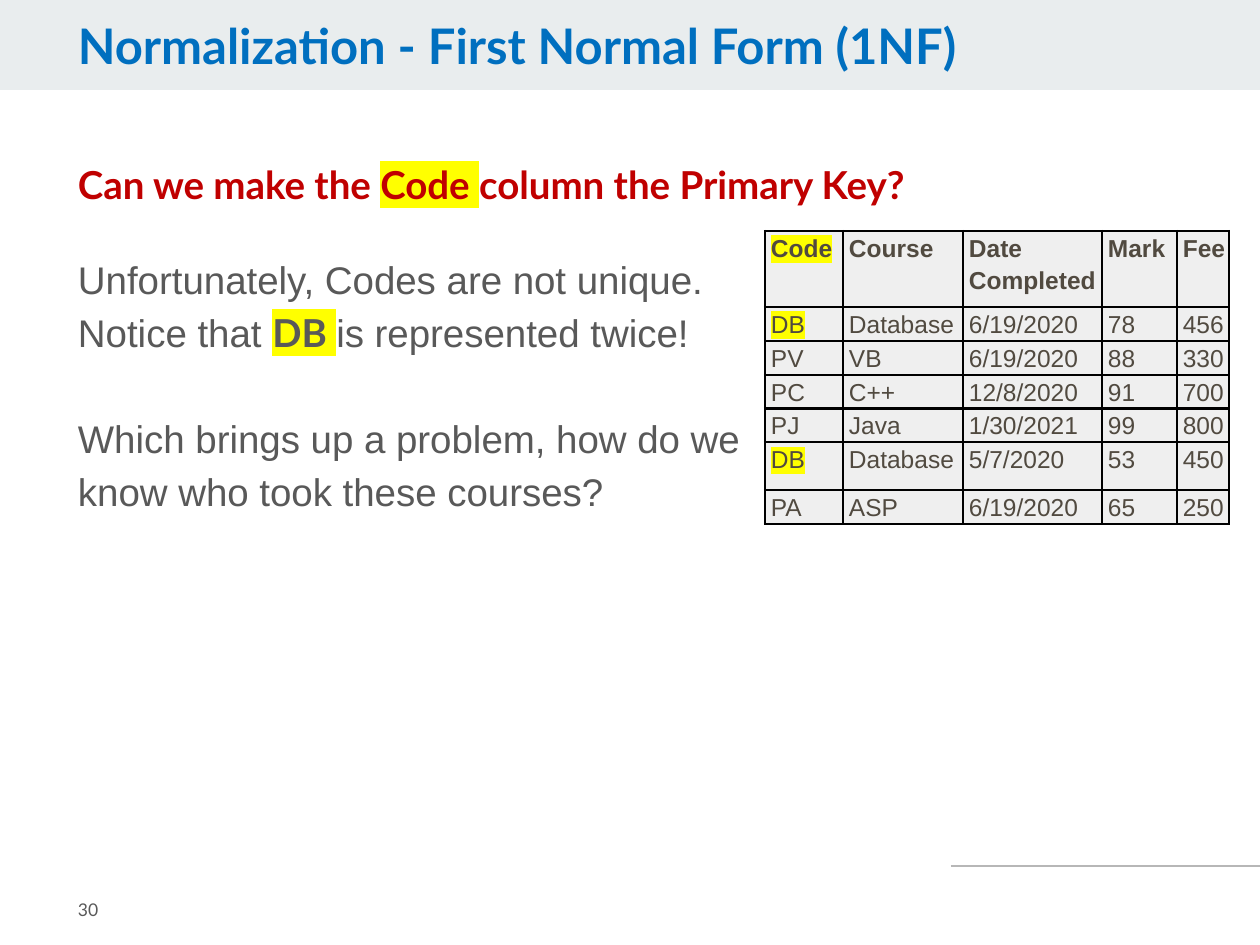
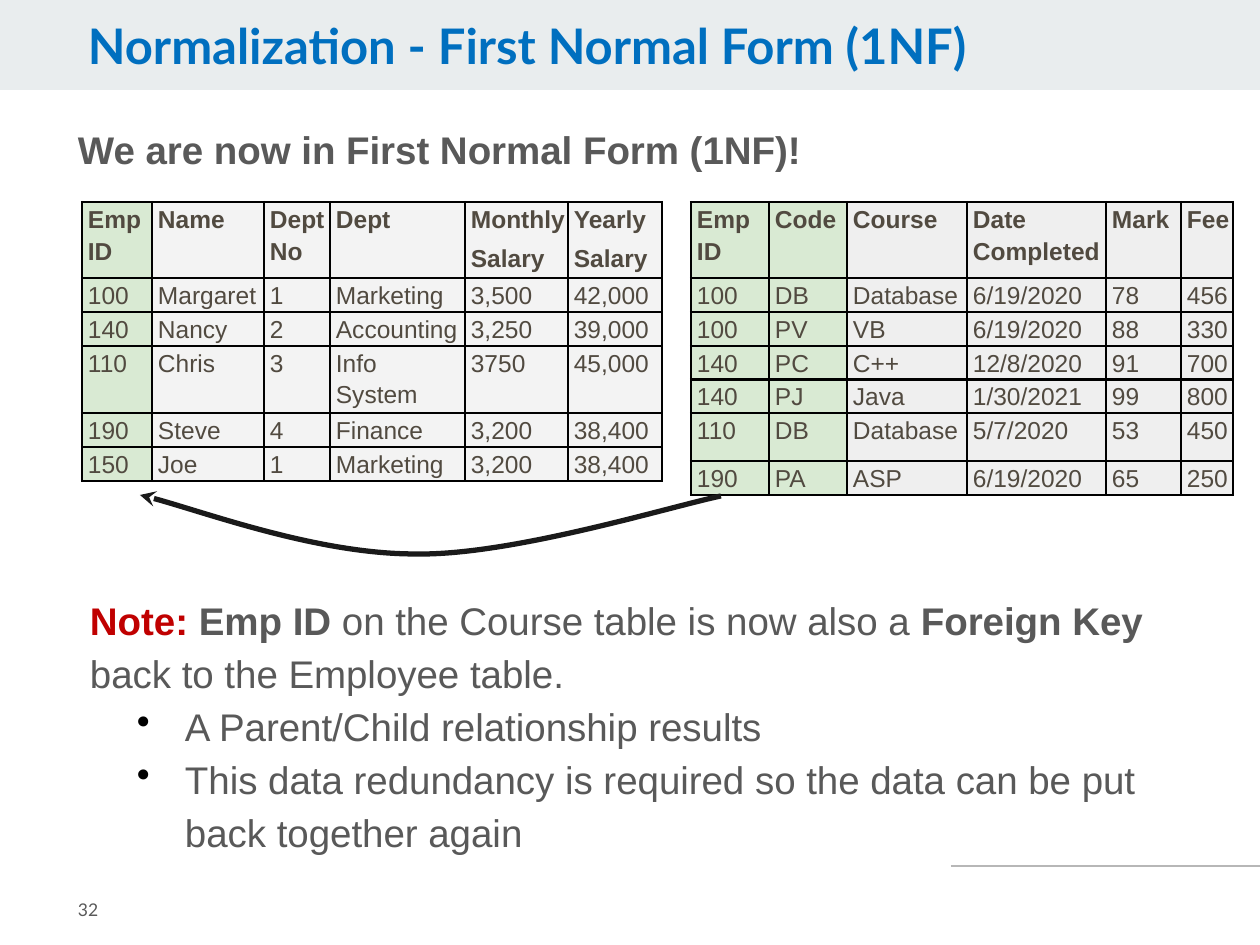
"""Build two slides on first normal form, with their tables and notes."""
import pptx
import pptx.dml.color
import pptx.enum.shapes
import pptx.enum.text
import pptx.oxml
import pptx.oxml.ns
import pptx.util

PX = 914400 / 126
WIDTH, HEIGHT = 1260, 945

THEME = {
    "colors": {
        "title": "006FBF", "body": "595959", "accent": "C00000", "cell": "514A40",
        "mark": "FFFF00", "band": "E9EDEE", "rule": "B7B7B7", "ink": "1A1A1A",
        "border": "000000", "key": "D9EAD3", "course": "EFEFEF", "employee": "F3F3F3",
    },
    "styles": {
        "title": ("Lato", 28, "title", True),
        "question": ("Lato", 22, "accent", True),
        "body": ("Arial", 22, "body", False),
        "strong": ("Arial", 22, "body", True),
        "code": ("Lato", 22, "body", True),
        "note": ("Arial", 22, "accent", True),
        "number": ("Lato", 10, "body", False),
        "header": ("Arial", 14, "cell", True),
        "cell": ("Arial", 14, "cell", False),
    },
}

TITLE = "Normalization - First Normal Form (1NF)"
QUESTION = [[("Can we make the ", "question"), ("Code ", "question", "mark"),
             ("column the Primary Key?", "question")]]
ANSWER = [
    [("Unfortunately, Codes are not unique.", "body")],
    [("Notice that ", "body"), ("DB ", "code", "mark"), ("is represented twice!", "body")],
    [("Which brings up a problem, how do we know who took these courses?", "body")],
]
RESULT = [[("We are now in First Normal Form (1NF)!", "strong")]]
NOTE = [
    [("Note: ", "note"), ("Emp ID", "strong"),
     (" on the Course table is now also a ", "body"), ("Foreign Key", "strong"),
     (" back to the Employee table.", "body")],
    [("A Parent/Child relationship results", "body")],
    [("This data redundancy is required so the data can be put back together again", "body")],
]

COURSES = [
    ("Code", "Course", "Date Completed", "Mark", "Fee"),
    ("DB", "Database", "6/19/2020", "78", "456"),
    ("PV", "VB", "6/19/2020", "88", "330"),
    ("PC", "C++", "12/8/2020", "91", "700"),
    ("PJ", "Java", "1/30/2021", "99", "800"),
    ("DB", "Database", "5/7/2020", "53", "450"),
    ("PA", "ASP", "6/19/2020", "65", "250"),
]
COURSE_EMPLOYEES = ["Emp ID", "100", "100", "140", "140", "110", "190"]
EMPLOYEES = [
    ("Emp ID", "Name", "Dept No", "Dept", "Monthly\nSalary", "Yearly\nSalary"),
    ("100", "Margaret", "1", "Marketing", "3,500", "42,000"),
    ("140", "Nancy", "2", "Accounting", "3,250", "39,000"),
    ("110", "Chris", "3", "Info System", "3750", "45,000"),
    ("190", "Steve", "4", "Finance", "3,200", "38,400"),
    ("150", "Joe", "1", "Marketing", "3,200", "38,400"),
]
COURSE_COLS = [78, 120, 139, 75, 52]
EMPLOYEE_COLS = [70, 112, 66, 135, 103, 94]
HEADER_ROW, ROW, TALL_ROW = 76, 26, 48
KEY_CURVE = [(721, 496), (669, 507), (510, 556), (415, 554), (318, 554), (185, 505), (140, 495)]


def emu(px):
    return round(px * PX)


def rgb(name):
    return pptx.dml.color.RGBColor.from_string(THEME["colors"][name])


def assign(obj, values):
    for name, value in values.items():
        setattr(obj, name, value)


def element(parent, tag, **attributes):
    return pptx.oxml.ns.qn(tag) and parent.makeelement(pptx.oxml.ns.qn(tag), attributes)


def color_element(parent, tag, color):
    holder = element(parent, tag)
    holder.append(element(parent, "a:srgbClr", val=THEME["colors"][color]))
    return holder


def add_run(p, text, style, highlight=None):
    r = p.add_run()
    r.text = text
    name, size, color, bold = THEME["styles"][style]
    assign(r.font, {"name": name, "size": pptx.util.Pt(size), "bold": bold})
    r.font.color.rgb = rgb(color)
    if highlight:
        fill = r.font.fill._xPr.find(pptx.oxml.ns.qn("a:solidFill"))
        fill.addnext(color_element(fill, "a:highlight", highlight))


def fill_text(tf, paragraphs, spacing=1.15, gaps=None, bullets=()):
    for i, runs in enumerate(paragraphs):
        p = tf.add_paragraph() if i else tf.paragraphs[0]
        p.line_spacing = spacing
        if gaps and i in gaps:
            p.space_before = pptx.util.Pt(gaps[i])
        if i in bullets:
            pPr = p._p.get_or_add_pPr()
            pPr.set("marL", str(emu(95)))
            pPr.set("indent", str(emu(-48)))
            pPr.append(color_element(pPr, "a:buClr", "border"))
            pPr.append(element(pPr, "a:buChar", char="•"))
        for run in runs:
            add_run(p, *run)


def add_text(s, box, paragraphs, inset=13, anchor="TOP", **options):
    tf = s.shapes.add_textbox(*map(emu, box)).text_frame
    assign(tf, {
        "word_wrap": True,
        "vertical_anchor": getattr(pptx.enum.text.MSO_ANCHOR, anchor),
        "margin_left": emu(13), "margin_right": emu(13),
        "margin_top": emu(inset), "margin_bottom": emu(inset),
    })
    fill_text(tf, paragraphs, **options)


def add_frame(prs, title_left, number):
    s = prs.slides.add_slide(prs.slide_layouts[6])
    rule = s.shapes.add_connector(
        pptx.enum.shapes.MSO_CONNECTOR.STRAIGHT, *map(emu, (951, 866, WIDTH, 866)))
    rule.line.color.rgb = rgb("rule")
    rule.line.width = pptx.util.Pt(0.75)
    spPr = rule._element.spPr
    spPr.append(element(spPr, "a:effectLst"))
    band = s.shapes.add_shape(
        pptx.enum.shapes.MSO_SHAPE.RECTANGLE, *map(emu, (0, 0, WIDTH, 90)))
    band.shadow.inherit = False
    band.fill.solid()
    band.fill.fore_color.rgb = rgb("band")
    band.line.fill.background()
    add_text(s, (title_left, 16, 993, 69), [[(TITLE, "title")]], inset=6, spacing=0.9)
    add_text(s, (65, 873, 155, 72), [[(number, "number")]], anchor="MIDDLE", spacing=1.0)
    return s


def add_borders(cell):
    tcPr = cell._tc.get_or_add_tcPr()
    for i, side in enumerate("LRTB"):
        line = element(tcPr, f"a:ln{side}", w=str(pptx.util.Pt(1.5)))
        line.append(color_element(tcPr, "a:solidFill", "border"))
        tcPr.insert(i, line)


def add_grid(s, left, top, rows, cols, tall_row, fill, keys=0, marked=None):
    heights = [HEADER_ROW] + [TALL_ROW if i == tall_row else ROW for i in range(1, len(rows))]
    table = s.shapes.add_table(
        len(rows), len(cols), *map(emu, (left, top, sum(cols), sum(heights)))).table
    assign(table, {"first_row": False, "horz_banding": False})
    for column, width in zip(table.columns, cols):
        column.width = emu(width)
    for i, (row, height) in enumerate(zip(rows, heights)):
        table.rows[i].height = emu(height)
        for j, text in enumerate(row):
            cell = table.cell(i, j)
            assign(cell, {"margin_left": emu(6), "margin_right": 0,
                          "margin_top": 0, "margin_bottom": 0})
            cell.fill.solid()
            cell.fill.fore_color.rgb = rgb("key" if j < keys else fill)
            add_borders(cell)
            style = "cell" if i else "header"
            highlight = "mark" if marked and text in marked else None
            lines = [[(line, style, highlight)] for line in text.split("\n")]
            fill_text(cell.text_frame, lines, gaps={1: 4})


def add_key_arrow(s):
    start, *points = KEY_CURVE
    builder = s.shapes.build_freeform(*start, scale=PX)
    builder.add_line_segments(points, close=False)
    arrow = builder.convert_to_shape()
    arrow.shadow.inherit = False
    arrow.fill.background()
    arrow.line.color.rgb = rgb("ink")
    arrow.line.width = pptx.util.Pt(3)
    line = arrow.line._get_or_add_ln()
    line.append(element(line, "a:tailEnd", type="stealth"))
    segments = list(arrow._element.iter(pptx.oxml.ns.qn("a:lnTo")))
    for i in range(0, len(segments), 3):
        curve = element(line, "a:cubicBezTo")
        segments[i].addprevious(curve)
        for segment in segments[i:i + 3]:
            curve.append(segment[0])
            segment.getparent().remove(segment)


def build_question(prs):
    s = add_frame(prs, 65, "30")
    add_text(s, (65, 243, 699, 344), ANSWER, inset=6, gaps={2: 30})
    add_grid(s, 765, 231, COURSES, COURSE_COLS, 5, "course", marked=("Code", "DB"))
    add_text(s, (65, 141, 1032, 72), QUESTION)


def build_result(prs):
    s = add_frame(prs, 75, "32")
    add_text(s, (65, 113, 1166, 69), RESULT, inset=6)
    linked = [(employee, *course) for employee, course in zip(COURSE_EMPLOYEES, COURSES)]
    add_grid(s, 691, 202, linked, [78] + COURSE_COLS, 5, "course", keys=2)
    add_grid(s, 82, 202, EMPLOYEES, EMPLOYEE_COLS, 3, "employee", keys=1)
    add_key_arrow(s)
    add_text(s, (77, 577, 1116, 295), NOTE, bullets=(1, 2))


def main():
    prs = pptx.Presentation()
    assign(prs, {"slide_width": emu(WIDTH), "slide_height": emu(HEIGHT)})
    build_question(prs)
    build_result(prs)
    prs.save("out.pptx")


if __name__ == "__main__":
    main()
